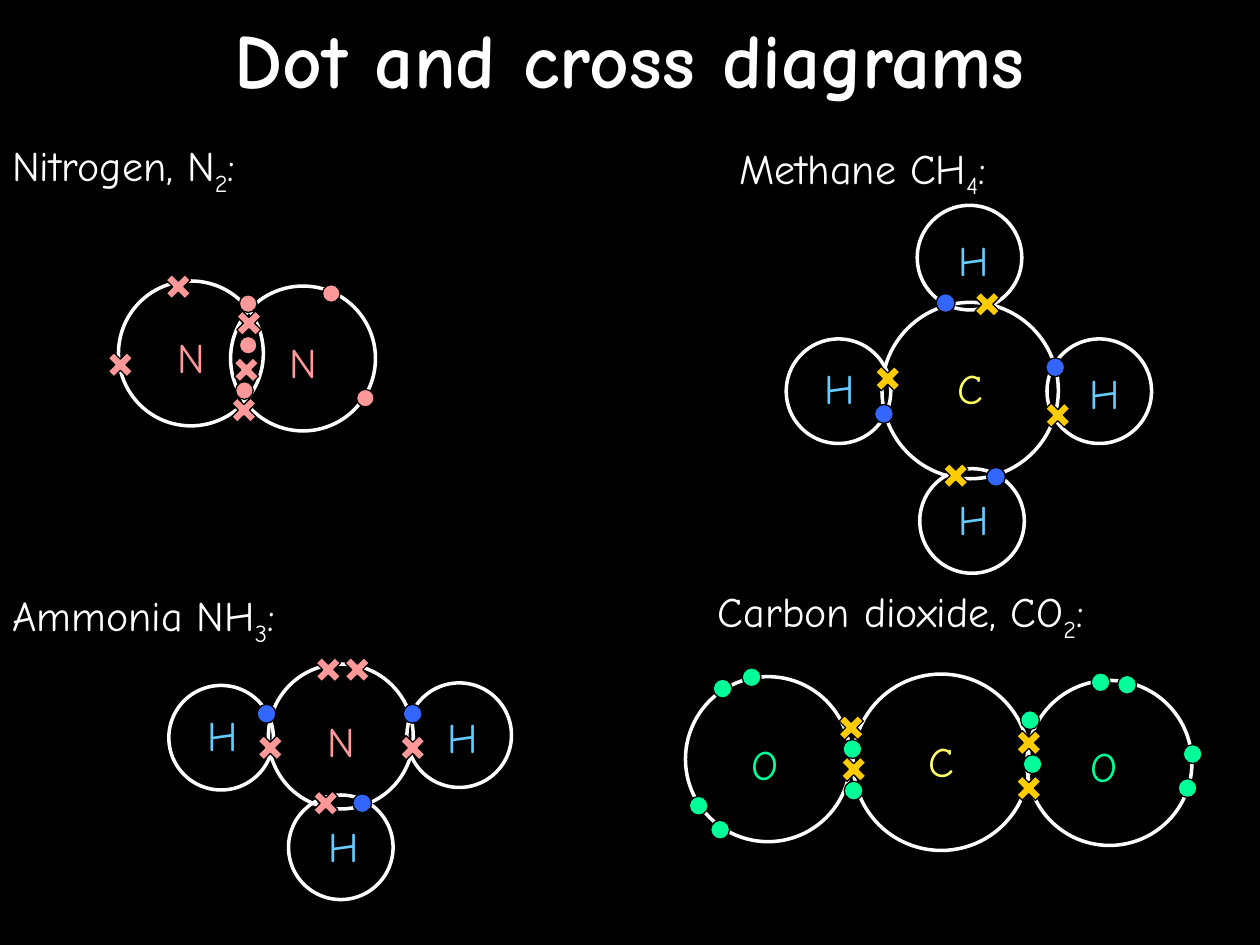
from dataclasses import dataclass

from pptx import Presentation
from pptx.dml.color import RGBColor
from pptx.enum.shapes import MSO_SHAPE
from pptx.enum.text import MSO_ANCHOR, PP_ALIGN
from pptx.util import Inches, Pt

CIRCLE, PLUS = MSO_SHAPE.OVAL, MSO_SHAPE.CROSS
LEFT, CENTER = PP_ALIGN.LEFT, PP_ALIGN.CENTER
MIDDLE = MSO_ANCHOR.MIDDLE


@dataclass(frozen=True)
class Theme:
    font: str = "Comic Neue"
    background: str = "000000"
    text: str = "FFFFFF"
    shell: str = "FFFFFF"
    outline: str = "000000"
    blue: str = "3366FF"
    pink: str = "FF9999"
    gold: str = "FFCC00"
    green: str = "00FF99"
    sky: str = "66CCFF"
    yellow: str = "FFFF66"
    title_size: int = 44
    body_size: int = 24
    shell_width: float = 2
    outline_width: float = 0.75


THEME = Theme()
TITLE = "Dot and cross diagrams"

# symbol: (shell diameter, width of the symbol's box, colour)
ELEMENTS = {
    "H": (0.83, 0.65, THEME.sky),
    "N": (1.15, 0.58, THEME.pink),
    "C": (1.4, 0.52, THEME.yellow),
    "O": (1.31, 0.65, THEME.green),
}
SYMBOL_HEIGHT = 0.5
HEADING_HEIGHT = 0.56
CROSS_SIZE = 0.21

# heading: (text, subscript, left, top, width)
# atoms: (symbol, shell left, shell top, symbol left, symbol top)
# crosses and dots: (left, top)
MOLECULES = [
    {
        "heading": ("Nitrogen, N", "2", 0, 1.06, 3.27),
        "atoms": [("N", 1.83, 2.27, 2.12, 2.62), ("N", 0.94, 2.23, 1.23, 2.58)],
        "cross_color": THEME.pink,
        "crosses": [(1.31, 2.17), (0.85, 2.79), (1.85, 2.83), (1.87, 2.46), (1.83, 3.15)],
        "dot_color": THEME.pink,
        "dot_size": 0.14,
        "dots": [(1.9, 2.34), (2.56, 2.26), (2.83, 3.09), (1.87, 3.03), (1.9, 2.67)],
    },
    {
        "heading": ("Methane CH", "4", 5.77, 1.08, 3.92),
        "atoms": [
            ("C", 7, 2.4, 7.44, 2.83),
            ("H", 8.31, 2.69, 8.44, 2.87),
            ("H", 6.24, 2.69, 6.34, 2.83),
            ("H", 7.3, 3.72, 7.4, 3.87),
            ("H", 7.28, 1.63, 7.4, 1.81),
        ],
        "cross_color": THEME.gold,
        "crosses": [(8.29, 3.19), (7.48, 3.67), (7.73, 2.31), (6.94, 2.9)],
        "dot_color": THEME.blue,
        "dot_size": 0.15,
        "dots": [(8.3, 2.84), (6.94, 3.21), (7.83, 3.71), (7.43, 2.33)],
    },
    {
        "heading": ("Ammonia NH", "3", 0, 4.63, 3.6),
        "atoms": [
            ("N", 2.13, 5.27, 2.42, 5.63),
            ("H", 1.34, 5.44, 1.44, 5.58),
            ("H", 3.23, 5.42, 3.35, 5.6),
            ("H", 2.29, 6.31, 2.4, 6.46),
        ],
        "cross_color": THEME.pink,
        "crosses": [(2.5, 5.21), (2.48, 6.27), (2.04, 5.83), (3.17, 5.83), (2.73, 5.21)],
        "dot_color": THEME.blue,
        "dot_size": 0.15,
        "dots": [(2.04, 5.59), (3.2, 5.59), (2.8, 6.3)],
    },
    {
        "heading": ("Carbon dioxide, CO", "2", 5.6, 4.6, 3.96),
        "atoms": [
            ("C", 6.77, 5.35, 7.21, 5.79),
            ("O", 5.44, 5.37, 5.75, 5.81),
            ("O", 8.15, 5.4, 8.44, 5.83),
        ],
        "cross_color": THEME.gold,
        "crosses": [(8.06, 6.15), (8.06, 5.79), (6.65, 5.67), (6.67, 6)],
        "dot_color": THEME.green,
        "dot_size": 0.15,
        "dots": [
            (5.89, 5.3), (5.66, 5.39), (5.64, 6.51), (5.47, 6.32), (6.69, 5.87),
            (6.7, 6.2), (8.66, 5.34), (8.87, 5.36), (8.1, 5.64), (8.12, 5.99),
            (9.39, 5.91), (9.35, 6.18),
        ],
    },
]


def rgb(color):
    return RGBColor.from_string(color)


def add_text(shapes, text, box, color=THEME.text, size=THEME.body_size, align=CENTER):
    frame = shapes.add_textbox(*map(Inches, box)).text_frame
    frame.word_wrap = True
    paragraph = frame.paragraphs[0]
    paragraph.alignment = align
    paragraph.add_run().text = text
    paragraph.font.name = THEME.font
    paragraph.font.size = Pt(size)
    paragraph.font.color.rgb = rgb(color)
    return frame


def add_heading(shapes, text, subscript, left, top, width):
    box = (left, top, width, HEADING_HEIGHT)
    paragraph = add_text(shapes, text, box, align=LEFT).paragraphs[0]
    lowered = paragraph.add_run()
    lowered.text = subscript
    lowered._r.get_or_add_rPr().set("baseline", "-25000")
    paragraph.add_run().text = ":"


def add_mark(shapes, preset, left, top, size, line, line_width, fill=None):
    """Add a square-bounded shape; without a fill colour it stays hollow."""
    mark = shapes.add_shape(preset, *map(Inches, (left, top, size, size)))
    mark.shadow.inherit = False
    mark.line.color.rgb = rgb(line)
    mark.line.width = Pt(line_width)
    if fill:
        mark.fill.solid()
        mark.fill.fore_color.rgb = rgb(fill)
    else:
        mark.fill.background()
    return mark


def add_molecule(shapes, molecule):
    for symbol, left, top, symbol_left, symbol_top in molecule["atoms"]:
        diameter, width, color = ELEMENTS[symbol]
        add_mark(shapes, CIRCLE, left, top, diameter, THEME.shell, THEME.shell_width)
        add_text(shapes, symbol, (symbol_left, symbol_top, width, SYMBOL_HEIGHT), color)
    for left, top in molecule["crosses"]:
        cross = add_mark(shapes, PLUS, left, top, CROSS_SIZE, THEME.outline,
                         THEME.outline_width, molecule["cross_color"])
        cross.adjustments[0] = 0.35
        cross.rotation = 135
    for left, top in molecule["dots"]:
        add_mark(shapes, CIRCLE, left, top, molecule["dot_size"], THEME.outline,
                 THEME.outline_width, molecule["dot_color"])


def main():
    deck = Presentation()
    deck.slide_width, deck.slide_height = Inches(10), Inches(7.5)
    slide = deck.slides.add_slide(deck.slide_layouts[6])
    slide.background.fill.solid()
    slide.background.fill.fore_color.rgb = rgb(THEME.background)

    title = add_text(slide.shapes, TITLE, (0, 0, 10, 0.91), size=THEME.title_size)
    title.vertical_anchor = MIDDLE
    title.paragraphs[0].font.bold = True

    for molecule in MOLECULES:
        add_heading(slide.shapes, *molecule["heading"])
        add_molecule(slide.shapes.add_group_shape().shapes, molecule)
    deck.save("out.pptx")


if __name__ == "__main__":
    main()
